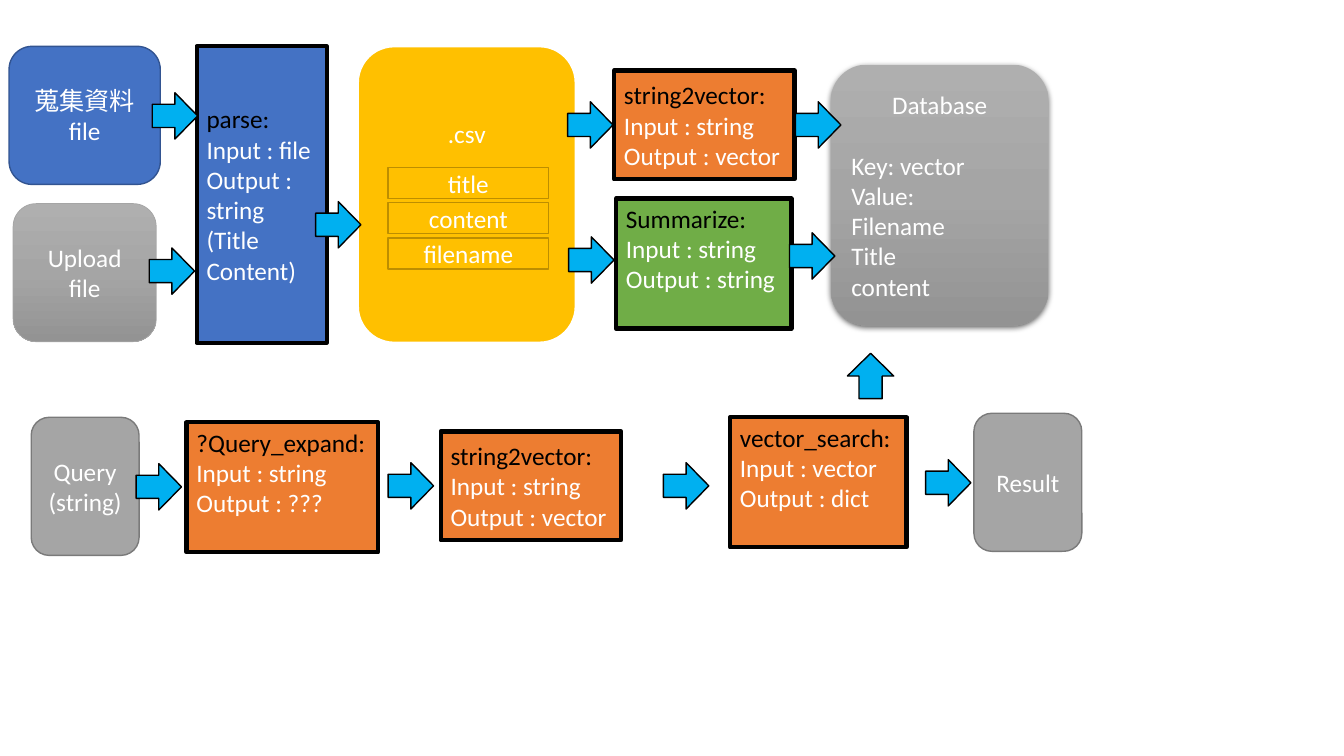
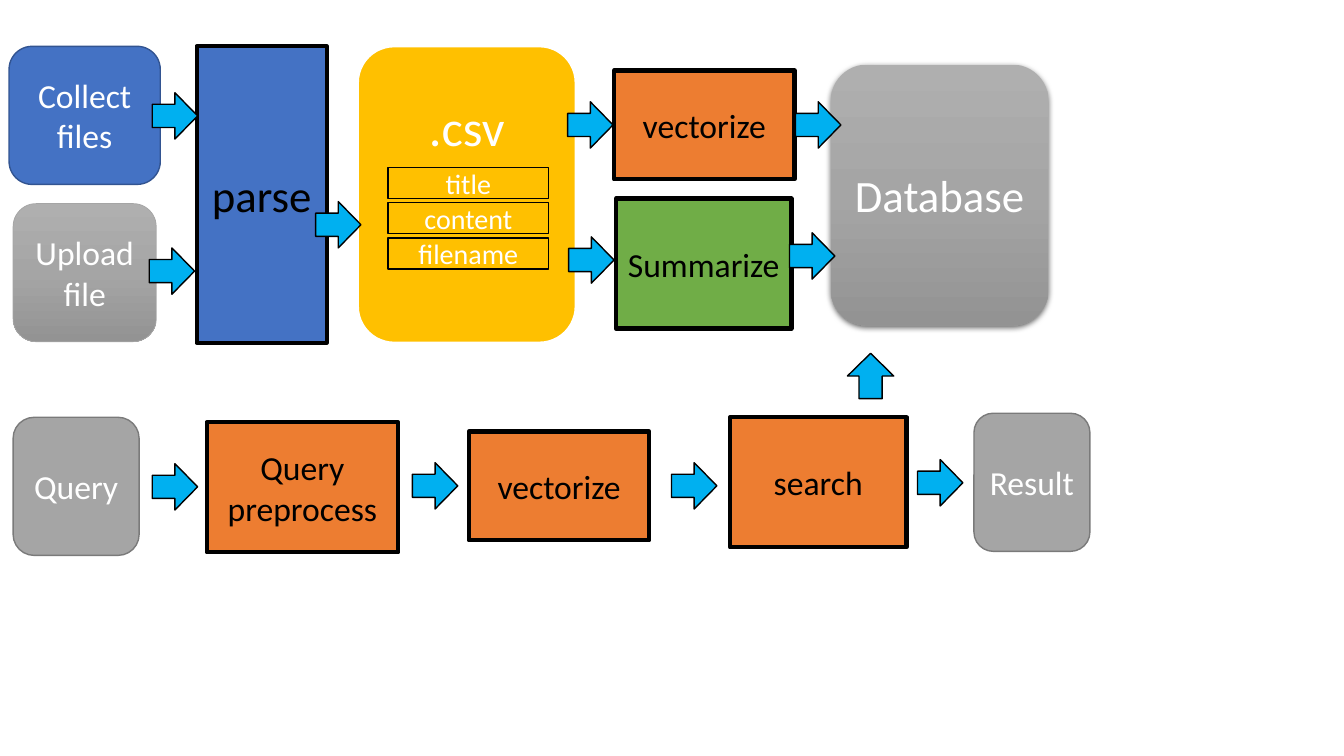
import copy
import pptx
import pptx.util
import pptx.dml.color
import pptx.enum.shapes
import pptx.enum.text
import pptx.oxml
import pptx.oxml.ns

RGBColor = pptx.dml.color.RGBColor
SHAPE = pptx.enum.shapes.MSO_SHAPE
ALIGN = pptx.enum.text.PP_ALIGN
qn = pptx.oxml.ns.qn

PX = 9144
FONT = "Calibri"
BLACK = RGBColor(0x00, 0x00, 0x00)
WHITE = RGBColor(0xFF, 0xFF, 0xFF)
BLUE = RGBColor(0x44, 0x72, 0xC4)
BLUE_EDGE = RGBColor(0x32, 0x54, 0x91)
GOLD = RGBColor(0xFF, 0xC0, 0x00)
GOLD_EDGE = RGBColor(0xBD, 0x8E, 0x00)
ORANGE = RGBColor(0xED, 0x7D, 0x31)
GREEN = RGBColor(0x70, 0xAD, 0x47)
SKY = RGBColor(0x00, 0xB0, 0xF0)
GREY_LIGHT = RGBColor(0xAF, 0xAF, 0xAF)
GREY = RGBColor(0xA5, 0xA5, 0xA5)
GREY_DARK = RGBColor(0x93, 0x93, 0x93)
GREY_EDGE = RGBColor(0x7A, 0x7A, 0x7A)

INGEST_ORIGIN = (9, 46)
QUERY_ORIGIN = (13, 410)
ARROW_SIZE = (45, 46)
INGEST_ARROWS = [(142, 46), (139, 200), (304, 154), (554, 55),
                 (555, 189), (780, 55), (774, 185)]
QUERY_ARROW_TOPS = [50, 49, 49, 46]
SHADOW = ('<a:outerShdw %s blurRad="57150" dist="19050" dir="5400000" '
          'algn="ctr" rotWithShape="0"><a:srgbClr val="000000">'
          '<a:alpha val="63000"/></a:srgbClr></a:outerShdw>'
          % pptx.oxml.ns.nsdecls("a"))

DETAILED = dict(
    collect=["蒐集資料", "file"],
    upload=["Upload", "file"],
    parse=["parse:", "Input : file", "Output : string", "(Title", "Content)"],
    vectorize=["string2vector:", "Input : string", "Output : vector"],
    summarize=["Summarize:", "Input : string", "Output : string"],
    database=["Database", "Key: vector", "Value:", "Filename", "Title", "content"],
    query=["Query", "(string)"],
    preprocess=["?Query_expand:", "Input : string", "Output : ???"],
    search=["vector_search:", "Input : vector", "Output : dict"],
    size=18, large=18, csv_size=18, field_size=18,
    field_edge=GOLD_EDGE, csv_lift=122, step_lift=30,
    query_span=(18, 107), preprocess_left=172, vectorize_left=424,
    result_width=107, query_arrows=[122, 372, 645, 905])

OVERVIEW = dict(
    collect=["Collect", "files"],
    upload=["Upload", "file"],
    parse=["parse"],
    vectorize=["vectorize"],
    summarize=["Summarize"],
    database=["Database"],
    query=["Query"],
    preprocess=["Query preprocess"],
    search=["search"],
    size=24, large=32, csv_size=36, field_size=20,
    field_edge=BLACK, csv_lift=136, step_lift=0,
    query_span=(0, 125), preprocess_left=192, vectorize_left=452,
    result_width=115, query_arrows=[138, 396, 653, 897])


def add_block(slide, origin, box, preset, fill=None, edge=None, weight=1):
    x, y, width, height = box
    block = slide.shapes.add_shape(
        preset, (origin[0] + x) * PX, (origin[1] + y) * PX, width * PX, height * PX)
    block.shadow.inherit = False
    if fill is None:
        shade(block)
    else:
        block.fill.solid()
        block.fill.fore_color.rgb = fill
    if edge is None:
        block.line.fill.background()
    else:
        block.line.color.rgb = edge
        block.line.width = pptx.util.Pt(weight)
    return block


def shade(block):
    block.fill.gradient()
    block.fill.gradient_angle = 270
    stop_list = block._element.spPr.find(qn("a:gradFill")).find(qn("a:gsLst"))
    stop_list.append(copy.deepcopy(stop_list[0]))
    tones = [(0, GREY_LIGHT), (0.5, GREY), (1, GREY_DARK)]
    for stop, (position, tone) in zip(block.fill.gradient_stops, tones):
        stop.position = position
        stop.color.rgb = tone


def write(block, lines, size=18, head_color=WHITE, head_align=ALIGN.CENTER,
          rest_align=ALIGN.CENTER, head_gap=0, lift=0):
    frame = block.text_frame
    frame.word_wrap = True
    frame.margin_bottom = (5 + lift) * PX
    for index, line in enumerate(lines):
        paragraph = frame.paragraphs[0] if index == 0 else frame.add_paragraph()
        paragraph.alignment = rest_align if index else head_align
        if index == 0 and head_gap:
            paragraph.space_after = pptx.util.Pt(head_gap)
        run = paragraph.add_run()
        run.text = line
        run.font.name = FONT
        run.font.size = pptx.util.Pt(size)
        run.font.color.rgb = WHITE if index else head_color


def add_step(slide, origin, box, fill, lines, size, lift=0):
    step = add_block(slide, origin, box, SHAPE.RECTANGLE, fill, BLACK, 3)
    align = ALIGN.LEFT if len(lines) > 1 else ALIGN.CENTER
    write(step, lines, size=size, head_color=BLACK, head_align=align,
          rest_align=align, lift=lift)


def add_endpoint(slide, origin, box, lines, size, fill=GREY, edge=GREY_EDGE, weight=1):
    endpoint = add_block(slide, origin, box, SHAPE.ROUNDED_RECTANGLE, fill, edge, weight)
    write(endpoint, lines, size=size)


def add_arrow(slide, origin, corner, rotation=0):
    arrow = add_block(slide, origin, corner + ARROW_SIZE, SHAPE.RIGHT_ARROW, SKY, BLACK)
    arrow.rotation = rotation


def add_csv(slide, origin, box, flow):
    csv = add_block(slide, origin, box, SHAPE.ROUNDED_RECTANGLE, GOLD, WHITE, 1.5)
    write(csv, [".csv"], size=flow["csv_size"], lift=flow["csv_lift"])
    for row, name in enumerate(["title", "content", "filename"]):
        field_box = (box[0] + 30, box[1] + 120 + 35 * row, 159, 31)
        field = add_block(slide, origin, field_box, SHAPE.RECTANGLE, GOLD, flow["field_edge"])
        write(field, [name], size=flow["field_size"])


def add_database(slide, origin, box, flow):
    database = add_block(slide, origin, box, SHAPE.ROUNDED_RECTANGLE)
    effects = database._element.spPr.find(qn("a:effectLst"))
    effects.append(pptx.oxml.parse_xml(SHADOW))
    lines = flow["database"]
    write(database, lines, size=flow["large"], rest_align=ALIGN.LEFT,
          head_gap=22 if len(lines) > 1 else 0)


def add_ingest(slide, origin, flow):
    size = flow["size"]
    add_step(slide, origin, (186, 0, 129, 294), BLUE, flow["parse"], flow["large"])
    add_endpoint(slide, origin, (0, 0, 150, 137), flow["collect"], size, BLUE, BLUE_EDGE)
    add_endpoint(slide, origin, (4, 156, 142, 137), flow["upload"], size, None, GREY, 0.5)
    add_csv(slide, origin, (346, 0, 216, 294), flow)
    add_database(slide, origin, (815, 18, 216, 259), flow)
    add_step(slide, origin, (600, 24, 179, 108), ORANGE, flow["vectorize"], size)
    add_step(slide, origin, (602, 151, 174, 129), GREEN, flow["summarize"], size,
             flow["step_lift"])
    for corner in INGEST_ARROWS:
        add_arrow(slide, origin, corner)


def add_query(slide, origin, flow):
    size, lift = flow["size"], flow["step_lift"]
    query_left, query_width = flow["query_span"]
    add_endpoint(slide, origin, (query_left, 4, query_width, 137), flow["query"], size)
    add_step(slide, origin, (flow["preprocess_left"], 9, 190, 129), ORANGE,
             flow["preprocess"], size, lift)
    add_step(slide, origin, (flow["vectorize_left"], 18, 179, 108), ORANGE,
             flow["vectorize"], size)
    add_step(slide, origin, (711, 4, 175, 129), ORANGE, flow["search"], size, lift)
    add_endpoint(slide, origin, (953, 0, flow["result_width"], 137), ["Result"], size)
    for corner in zip(flow["query_arrows"], QUERY_ARROW_TOPS):
        add_arrow(slide, origin, corner)
    add_arrow(slide, origin, (828, -60), rotation=270)


def main():
    deck = pptx.Presentation()
    deck.slide_width, deck.slide_height = 1333 * PX, 750 * PX
    for flow in (DETAILED, OVERVIEW):
        slide = deck.slides.add_slide(deck.slide_layouts[6])
        add_ingest(slide, INGEST_ORIGIN, flow)
        add_query(slide, QUERY_ORIGIN, flow)
    deck.save("out.pptx")


if __name__ == "__main__":
    main()
